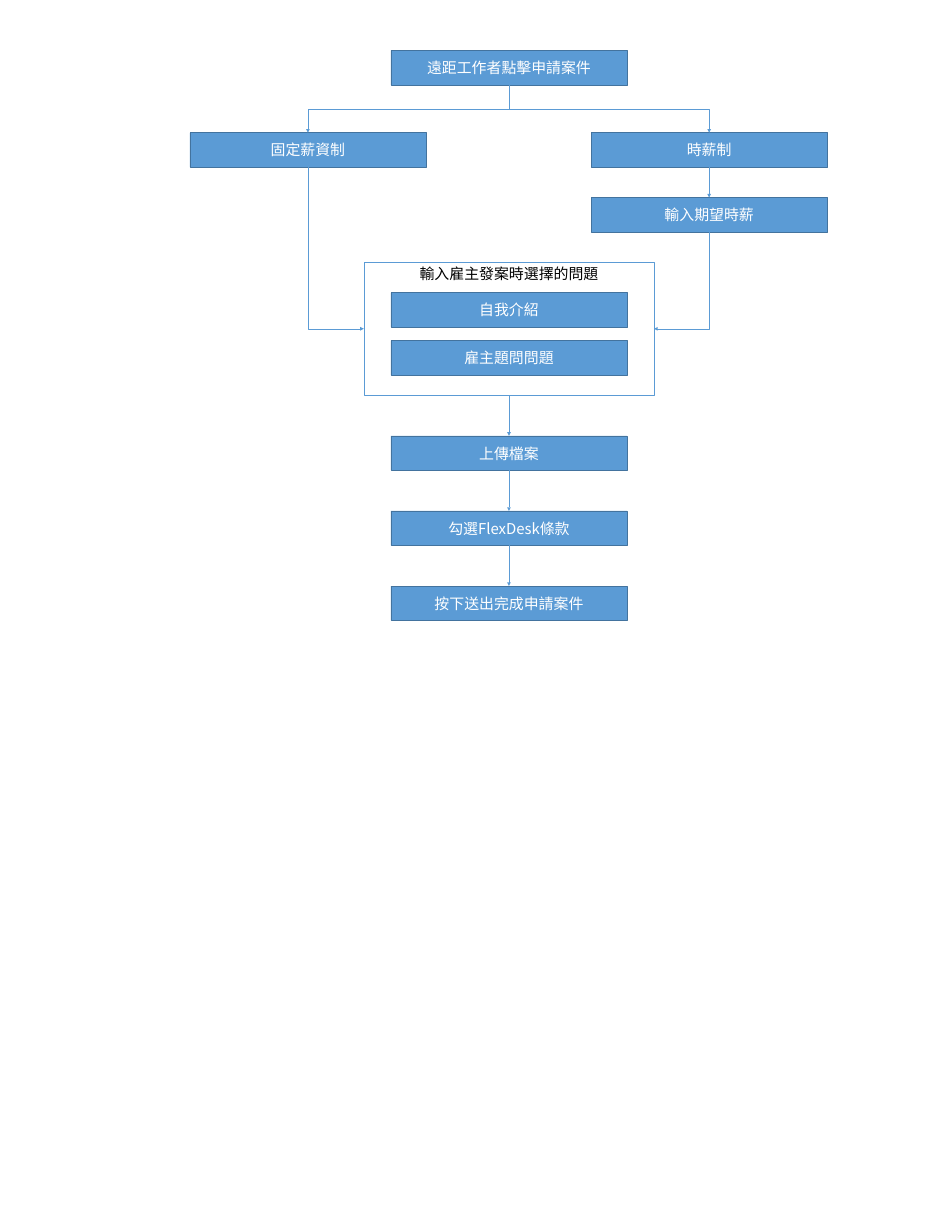
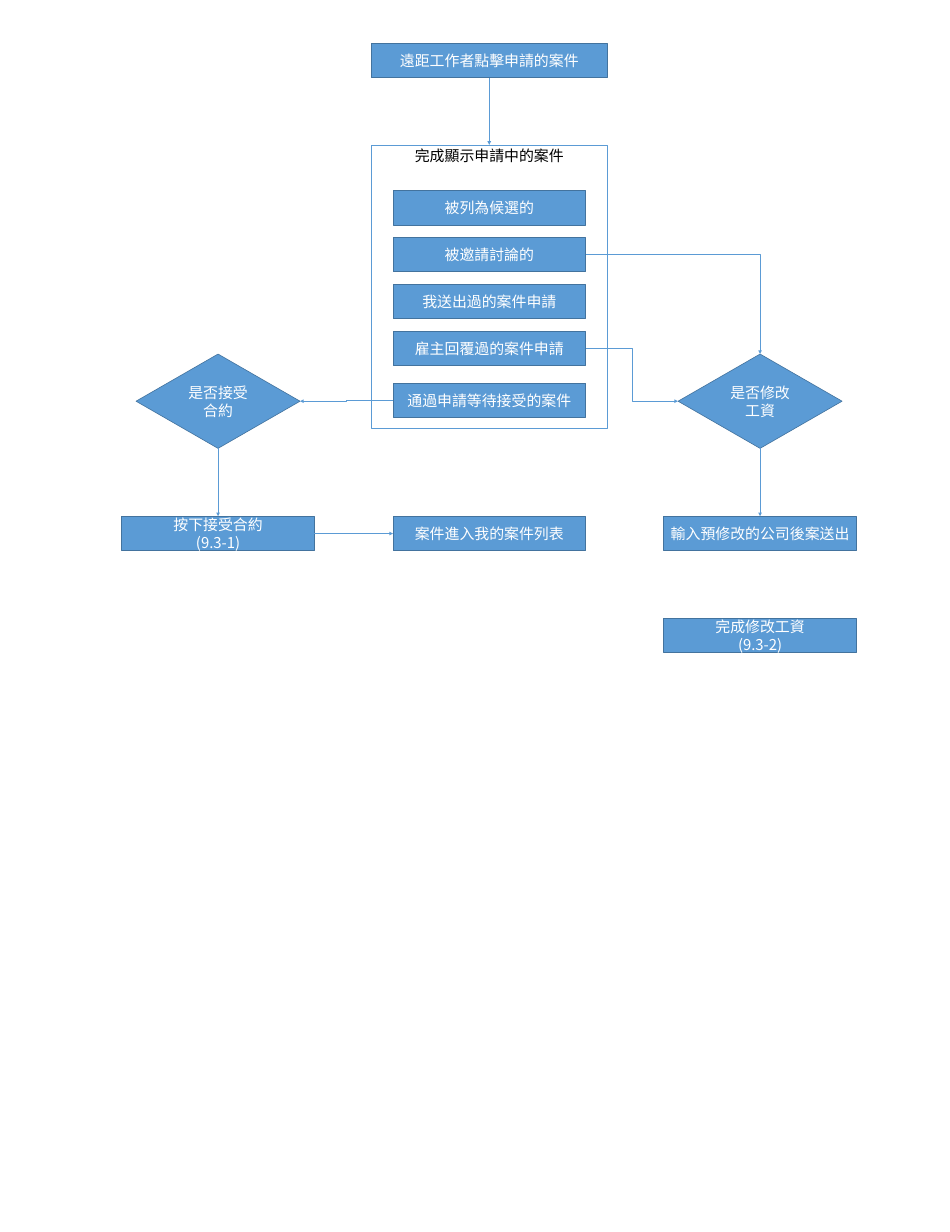
"""Builds two flowcharts of how a remote worker applies for a case."""
import lxml.etree
import pptx
import pptx.dml.color
import pptx.enum.shapes
import pptx.enum.text
import pptx.oxml.ns
import pptx.util

Inches = pptx.util.Inches
Pt = pptx.util.Pt
SHAPES = pptx.enum.shapes.MSO_SHAPE
CONNECTORS = pptx.enum.shapes.MSO_CONNECTOR
ANCHORS = pptx.enum.text.MSO_ANCHOR
COLORS = {"step": "5B9BD5", "outline": "43739E", "panel": "FFFFFF",
          "light": "FFFFFF", "dark": "000000"}
FONT = "Noto Sans CJK SC"
TOP, LEFT, BOTTOM, RIGHT = range(4)
STEP_HEIGHT = 0.77
WIDE, NARROW = 5.28, 4.31


def rgb(name):
    return pptx.dml.color.RGBColor.from_string(COLORS[name])


def add_child(parent, tag, **attributes):
    return lxml.etree.SubElement(parent, pptx.oxml.ns.qn(tag), **attributes)


def write(box, text, color="light", font=FONT, size=24, anchor=ANCHORS.MIDDLE):
    frame = box.text_frame
    frame.word_wrap = True
    frame.vertical_anchor = anchor
    for index, line in enumerate(text.split("\n")):
        para = frame.add_paragraph() if index else frame.paragraphs[0]
        para.alignment = pptx.enum.text.PP_ALIGN.CENTER
        span = para.add_run()
        span.text = line
        span.font.name = font
        span.font.size = Pt(size)
        span.font.color.rgb = rgb(color)
        add_child(span.font._element, "a:ea", typeface=font)


def add_box(page, center, top, width, height, kind=SHAPES.RECTANGLE,
            fill="step", line="outline"):
    box = page.shapes.add_shape(kind, Inches(center - width / 2), Inches(top),
                                Inches(width), Inches(height))
    box.shadow.inherit = False
    box.fill.solid()
    box.fill.fore_color.rgb = rgb(fill)
    box.line.color.rgb = rgb(line)
    box.line.width = Pt(1)
    return box


def add_step(page, text, center, top, width=WIDE):
    box = add_box(page, center, top, width, STEP_HEIGHT)
    write(box, text)
    return box


def add_panel(page, text, center, top, width, height):
    box = add_box(page, center, top, width, height, fill="panel", line="step")
    write(box, text, color="dark", anchor=ANCHORS.TOP)
    return box


def add_decision(page, text, center, top):
    box = add_box(page, center, top, 3.67, 2.11, kind=SHAPES.DIAMOND)
    write(box, text, font="Calibri")
    return box


def add_arrow(page, source, target, leave=BOTTOM, enter=TOP, kind=CONNECTORS.STRAIGHT):
    arrow = page.shapes.add_connector(kind, 0, 0, 0, 0)
    arrow.begin_connect(source, leave)
    arrow.end_connect(target, enter)
    arrow.line.color.rgb = rgb("step")
    arrow.line.width = Pt(0.5)
    add_child(arrow.line._get_or_add_ln(), "a:tailEnd", type="triangle")
    add_child(arrow._element.spPr, "a:effectLst")
    return arrow


def add_elbow(page, source, target, leave=BOTTOM, enter=TOP):
    arrow = add_arrow(page, source, target, leave, enter, CONNECTORS.ELBOW)
    properties = arrow._element.spPr
    if leave % 2 != enter % 2:
        properties.prstGeom.set("prst", "bentConnector2")
    if leave == BOTTOM:
        leftward = arrow.end_x < arrow.begin_x
        left, top, width, height = arrow.left, arrow.top, arrow.width, arrow.height
        arrow.left = left + (width - height) // 2
        arrow.top = top + (height - width) // 2
        arrow.width, arrow.height = height, width
        frame = properties.xfrm
        frame.set("rot", str((90 if leftward else 270) * 60000))
        frame.set("flipH", "0" if leftward else "1")


def build_application(page):
    left, middle, right = 6.89, 11.39, 15.87
    start = add_step(page, "遠距工作者點擊申請案件", middle, 1.13)
    fixed = add_step(page, "固定薪資制", left, 2.97)
    hourly = add_step(page, "時薪制", right, 2.97)
    wage = add_step(page, "輸入期望時薪", right, 4.42)
    questions = add_panel(page, "輸入雇主發案時選擇的問題", middle, 5.87, 6.49, 2.97)
    for index, text in enumerate(("自我介紹", "雇主題問問題")):
        add_step(page, text, middle, 6.55 + 1.07 * index)

    add_elbow(page, start, fixed)
    add_elbow(page, start, hourly)
    add_arrow(page, hourly, wage)
    add_elbow(page, wage, questions, enter=RIGHT)
    add_elbow(page, fixed, questions, enter=LEFT)

    previous = questions
    for index, text in enumerate(("上傳檔案", "勾選FlexDesk條款", "按下送出完成申請案件")):
        step = add_step(page, text, middle, 9.75 + 1.68 * index)
        add_arrow(page, previous, step)
        previous = step


def build_case_status(page):
    left, middle, right = 4.88, 10.95, 17.01
    decision_top, result_top = 7.92, 11.55
    start = add_step(page, "遠距工作者點擊申請的案件", middle, 0.97)
    cases = add_panel(page, "完成顯示申請中的案件", middle, 3.24, WIDE, 6.35)
    states = ("被列為候選的", "被邀請討論的", "我送出過的案件申請", "雇主回覆過的案件申請")
    _, invited, _, answered = [
        add_step(page, text, middle, 4.26 + 1.05 * index, NARROW)
        for index, text in enumerate(states)]
    approved = add_step(page, "通過申請等待接受的案件", middle, 8.57, NARROW)
    accept = add_decision(page, "是否接受合約", left, decision_top)
    change = add_decision(page, "是否修改工資", right, decision_top)
    contract = add_step(page, "按下接受合約\n(9.3-1)", left, result_top, NARROW)
    listed = add_step(page, "案件進入我的案件列表", middle, result_top, NARROW)
    revised = add_step(page, "輸入預修改的公司後案送出", right, result_top, NARROW)
    add_step(page, "完成修改工資\n(9.3-2)", right, 13.83, NARROW)

    add_arrow(page, start, cases)
    add_elbow(page, approved, accept, LEFT, RIGHT)
    add_arrow(page, accept, contract)
    add_arrow(page, contract, listed, RIGHT, LEFT)
    add_elbow(page, answered, change, RIGHT, LEFT)
    add_elbow(page, invited, change, RIGHT, TOP)
    add_arrow(page, change, revised)


def main():
    deck = pptx.Presentation()
    deck.slide_width, deck.slide_height = Inches(21.26), Inches(27.56)
    for build in (build_application, build_case_status):
        build(deck.slides.add_slide(deck.slide_layouts[6]))
    deck.save("out.pptx")


if __name__ == "__main__":
    main()
